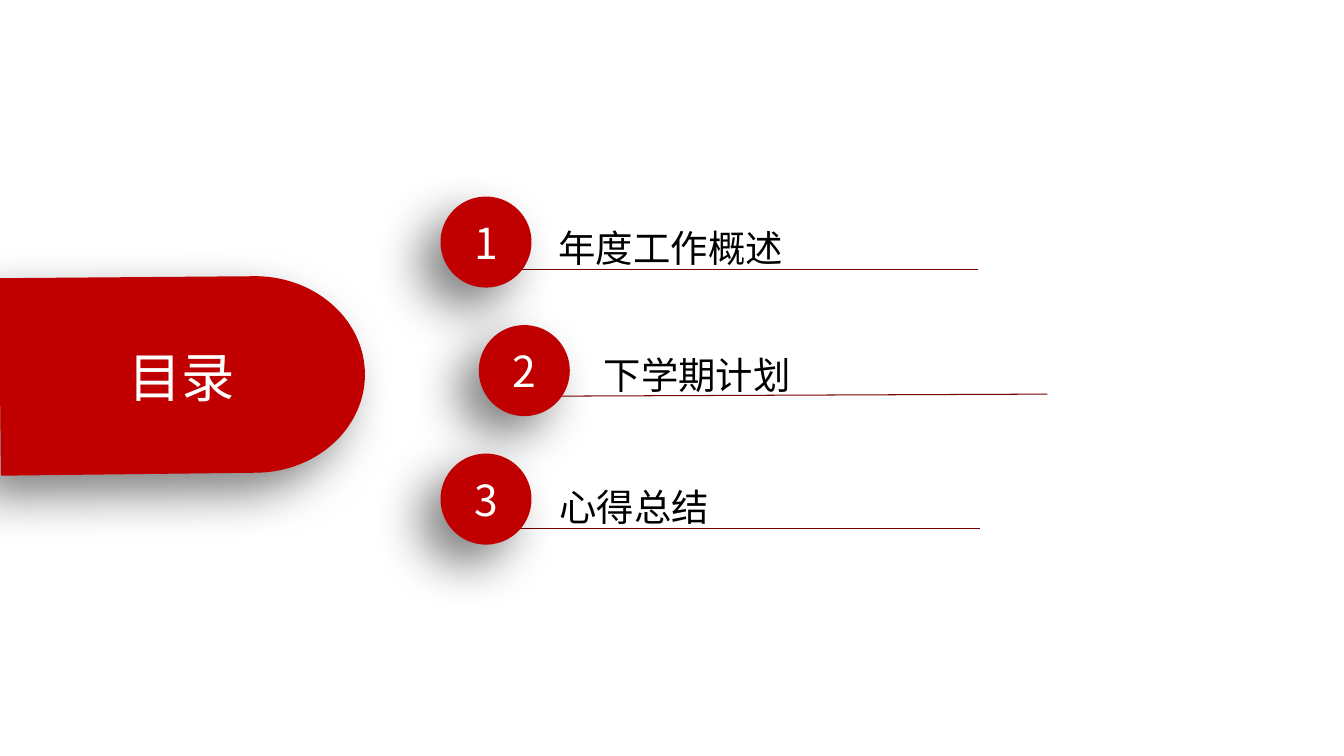
import math
from dataclasses import dataclass

from lxml import etree
from pptx import Presentation
from pptx.dml.color import RGBColor
from pptx.enum import shapes, text
from pptx.oxml import ns
from pptx.util import Pt


@dataclass(frozen=True)
class Theme:
    red: str = "C00000"
    rule: str = "760000"
    white: str = "FFFFFF"
    ink: str = "000000"
    font: str = "Noto Sans CJK SC"
    title_size: float = 38.1
    number_size: float = 30.5
    label_size: float = 26.7


THEME = Theme()

# label, badge left, badge top, rule start, rule end, label left (from the list box)
ENTRIES = [
    ("年度工作概述", 0, 0, (54, 51.84), (383.76, 51.84), 76.32),
    ("下学期计划", 27.36, 91.8, (81.36, 142.56), (433.44, 141.12), 108.72),
    ("心得总结", 0, 183.6, (55.44, 236.88), (385.2, 236.88), 77.04),
]


def write(frame, words, size, color, align=text.PP_ALIGN.LEFT,
          anchor=text.MSO_ANCHOR.TOP, wrap=True, inset=(7.2, 3.6),
          fit=text.MSO_AUTO_SIZE.NONE):
    """Put one formatted line of words into a text frame."""
    frame.word_wrap = wrap
    frame.auto_size = fit
    frame.vertical_anchor = anchor
    frame.margin_left = frame.margin_right = Pt(inset[0])
    frame.margin_top = frame.margin_bottom = Pt(inset[1])
    line = frame.paragraphs[0]
    line.alignment = align
    run = line.add_run()
    run.text = words
    run.font.size = Pt(size)
    run.font.color.rgb = RGBColor.from_string(color)
    run.font.name = THEME.font
    east_asian = etree.SubElement(run.font._element, ns.qn("a:ea"))
    east_asian.set("typeface", THEME.font)


def paint_red(shape):
    """Fill red without outline and cast a soft shadow to the lower left."""
    shape.fill.solid()
    shape.fill.fore_color.rgb = RGBColor.from_string(THEME.red)
    shape.line.fill.background()
    shape.shadow.inherit = False
    effects = shape._element.spPr.find(ns.qn("a:effectLst"))
    shadow = etree.SubElement(
        effects, ns.qn("a:outerShdw"), blurRad=str(Pt(35)), dist=str(Pt(20)),
        dir=str(135 * 60000), algn="tr", rotWithShape="0")
    color = etree.SubElement(shadow, ns.qn("a:srgbClr"), val=THEME.ink)
    etree.SubElement(color, ns.qn("a:alpha"), val="50000")


def add_title_tab(slide, left, top, width, height):
    """Tab with a round right end, and the slide title upon it."""
    radius_x, radius_y = 78.5, 70.2
    center_x, center_y = left + width - radius_x, top + radius_y
    steps = 90
    arc = []
    for step in range(steps + 1):
        angle = math.pi * (step / steps - 0.5)
        arc.append((Pt(center_x + radius_x * math.cos(angle)),
                    Pt(center_y + radius_y * math.sin(angle))))
    lower_left = (Pt(left + 1.44), Pt(top + height))
    outline = slide.shapes.build_freeform(Pt(left), Pt(top + 1.44))
    outline.add_line_segments(arc + [lower_left], close=True)
    tab = outline.convert_to_shape()
    paint_red(tab)

    title = slide.shapes.title
    title.left, title.top = Pt(left), Pt(top)
    title.width, title.height = Pt(width), Pt(height)
    write(title.text_frame, "目录", THEME.title_size, THEME.white,
          align=text.PP_ALIGN.CENTER, anchor=text.MSO_ANCHOR.MIDDLE)
    slide.shapes._spTree.append(title._element)  # bring in front of the tab


def add_rule(slide, start, end):
    rule = slide.shapes.add_connector(
        shapes.MSO_CONNECTOR.STRAIGHT, *(Pt(value) for value in start + end))
    rule.line.color.rgb = RGBColor.from_string(THEME.rule)
    rule.line.width = Pt(0.75)
    etree.SubElement(rule._element.spPr, ns.qn("a:effectLst"))


def add_entry(slide, left, top, number, entry):
    """Rule, numbered badge and label of one entry in the list at left, top."""
    words, badge_left, badge_top, start, end, label_left = entry
    add_rule(slide, (left + start[0], top + start[1]),
             (left + end[0], top + end[1]))

    diameter = 65
    badge = slide.shapes.add_shape(
        shapes.MSO_SHAPE.OVAL, Pt(left + badge_left), Pt(top + badge_top),
        Pt(diameter), Pt(diameter))
    paint_red(badge)
    write(badge.text_frame, str(number), THEME.number_size, THEME.white,
          align=text.PP_ALIGN.CENTER, anchor=text.MSO_ANCHOR.MIDDLE)

    inset, slack = (7.9, 4.3), 2
    label = slide.shapes.add_textbox(
        Pt(left + label_left), Pt(top + start[1] - 35.7),
        Pt(len(words) * THEME.label_size + 2 * inset[0] + slack), Pt(40.3))
    write(label.text_frame, words, THEME.label_size, THEME.ink, wrap=False,
          inset=inset, fit=text.MSO_AUTO_SIZE.SHAPE_TO_FIT_TEXT)


def add_contents_slide(deck):
    slide = deck.slides.add_slide(deck.slide_layouts.get_by_name("Title Only"))
    slide.background.fill.solid()
    slide.background.fill.fore_color.rgb = RGBColor.from_string(THEME.white)
    add_title_tab(slide, left=-0.72, top=197.3, width=261.4, height=142.5)
    for number, entry in enumerate(ENTRIES, start=1):
        add_entry(slide, 314.64, 140.4, number, entry)


def main():
    deck = Presentation()
    deck.slide_width, deck.slide_height = Pt(960), Pt(540)
    add_contents_slide(deck)
    deck.save("out.pptx")


if __name__ == "__main__":
    main()
